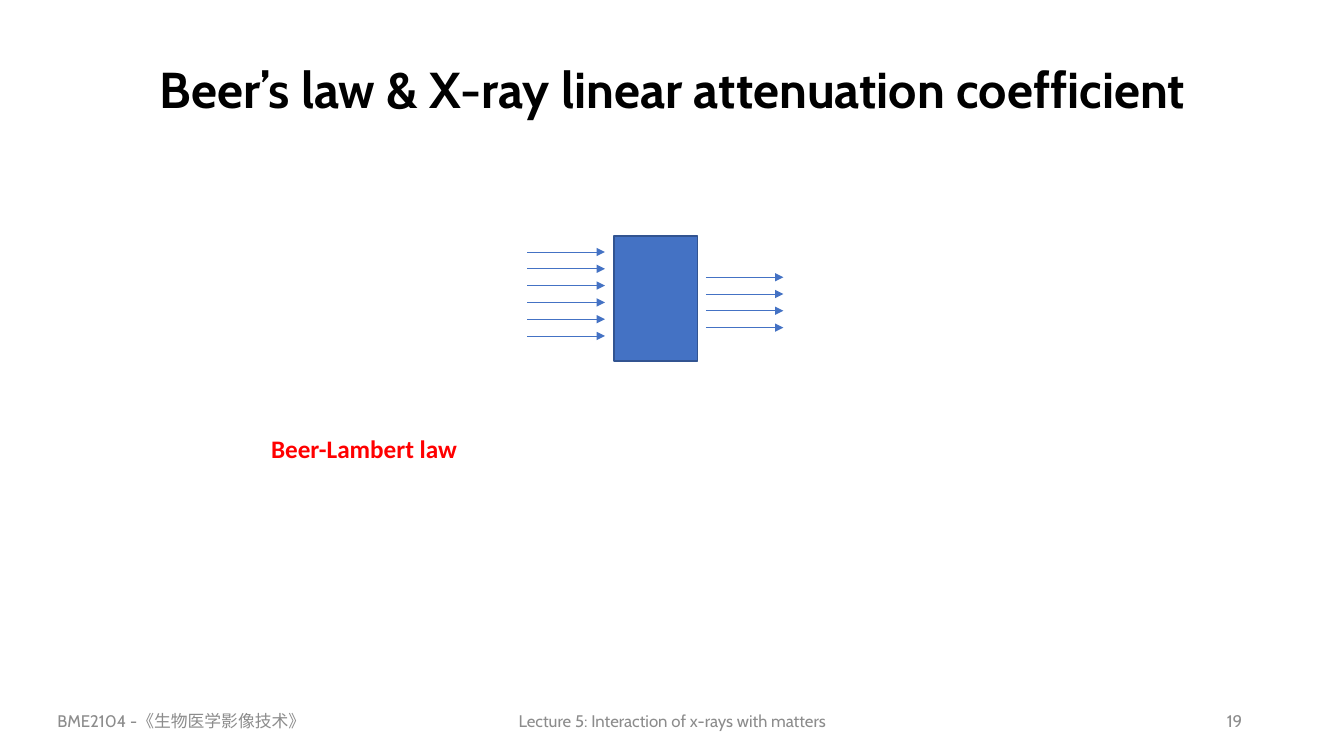
"""Build the slide on Beer's law and the X-ray linear attenuation coefficient."""
import pptx
import pptx.dml.color
import pptx.enum.shapes
import pptx.enum.text
import pptx.oxml.ns
import pptx.util
from lxml import etree

Inches = pptx.util.Inches
Pt = pptx.util.Pt
RGBColor = pptx.dml.color.RGBColor
ALIGN = pptx.enum.text.PP_ALIGN
ANCHOR = pptx.enum.text.MSO_ANCHOR

BLACK = RGBColor(0x00, 0x00, 0x00)
GRAY = RGBColor(0x8C, 0x8C, 0x8C)
RED = RGBColor(0xFF, 0x00, 0x00)
BLUE = RGBColor(0x44, 0x72, 0xC4)
DARK_BLUE = RGBColor(0x32, 0x54, 0x91)

TITLE = ("Beer’s law & X-ray linear attenuation coefficient", (0.92, 0.4, 11.5, 1.03))
LAW = ("Beer-Lambert law", (2.59, 4.25, 2.07, 0.4))
FOOTERS = [
    ("BME2104 -《生物医学影像技术》", (0.47, 6.95, 3.65, 0.4), ALIGN.LEFT),
    ("Lecture 5: Interaction of x-rays with matters", (4.42, 6.95, 4.5, 0.4), ALIGN.CENTER),
    ("19", (9.42, 6.95, 3, 0.4), ALIGN.RIGHT),
]
ABSORBER = (6.09, 2.34, 0.83, 1.24)
RAY_GROUPS = [
    {"left": 5.23, "top": 2.5, "count": 6},
    {"left": 7, "top": 2.75, "count": 4},
]
RAY_LENGTH = 0.77
RAY_GAP = 1 / 6


def add_text(slide, text, box, size, color, align=ALIGN.LEFT, font="Cabin",
             bold=False, anchor=ANCHOR.MIDDLE, wrap=True, line_spacing=1.0):
    frame = slide.shapes.add_textbox(*map(Inches, box)).text_frame
    frame.word_wrap = wrap
    frame.vertical_anchor = anchor
    paragraph = frame.paragraphs[0]
    paragraph.alignment = align
    paragraph.line_spacing = line_spacing
    run = paragraph.add_run()
    run.text = text
    run.font.name = font
    run.font.size = Pt(size)
    run.font.bold = bold
    run.font.color.rgb = color
    return frame


def add_absorber(slide):
    shape = slide.shapes.add_shape(
        pptx.enum.shapes.MSO_SHAPE.RECTANGLE, *map(Inches, ABSORBER))
    shape.shadow.inherit = False
    shape.fill.solid()
    shape.fill.fore_color.rgb = BLUE
    shape.line.color.rgb = DARK_BLUE
    shape.line.width = Pt(1)


def add_ray(slide, left, y):
    ray = slide.shapes.add_connector(
        pptx.enum.shapes.MSO_CONNECTOR.STRAIGHT,
        Inches(left), Inches(y), Inches(left + RAY_LENGTH), Inches(y))
    ray.line.color.rgb = BLUE
    ray.line.width = Pt(0.5)
    qn = pptx.oxml.ns.qn
    etree.SubElement(ray.line._get_or_add_ln(), qn("a:tailEnd"), type="triangle")
    etree.SubElement(ray._element.spPr, qn("a:effectLst"))


def main():
    presentation = pptx.Presentation()
    presentation.slide_width = Inches(13.33)
    presentation.slide_height = Inches(7.5)
    slide = presentation.slides.add_slide(presentation.slide_layouts[6])

    add_text(slide, *TITLE, 36, BLACK, ALIGN.CENTER, bold=True, line_spacing=0.9)
    for text, box, align in FOOTERS:
        add_text(slide, text, box, 12, GRAY, align)

    add_absorber(slide)
    for group in RAY_GROUPS:
        for index in range(group["count"]):
            add_ray(slide, group["left"], group["top"] + index * RAY_GAP)

    law = add_text(slide, *LAW, 18, RED, font="Calibri", bold=True,
                   anchor=ANCHOR.TOP, wrap=False)
    law.auto_size = pptx.enum.text.MSO_AUTO_SIZE.SHAPE_TO_FIT_TEXT
    presentation.save("out.pptx")


if __name__ == "__main__":
    main()
